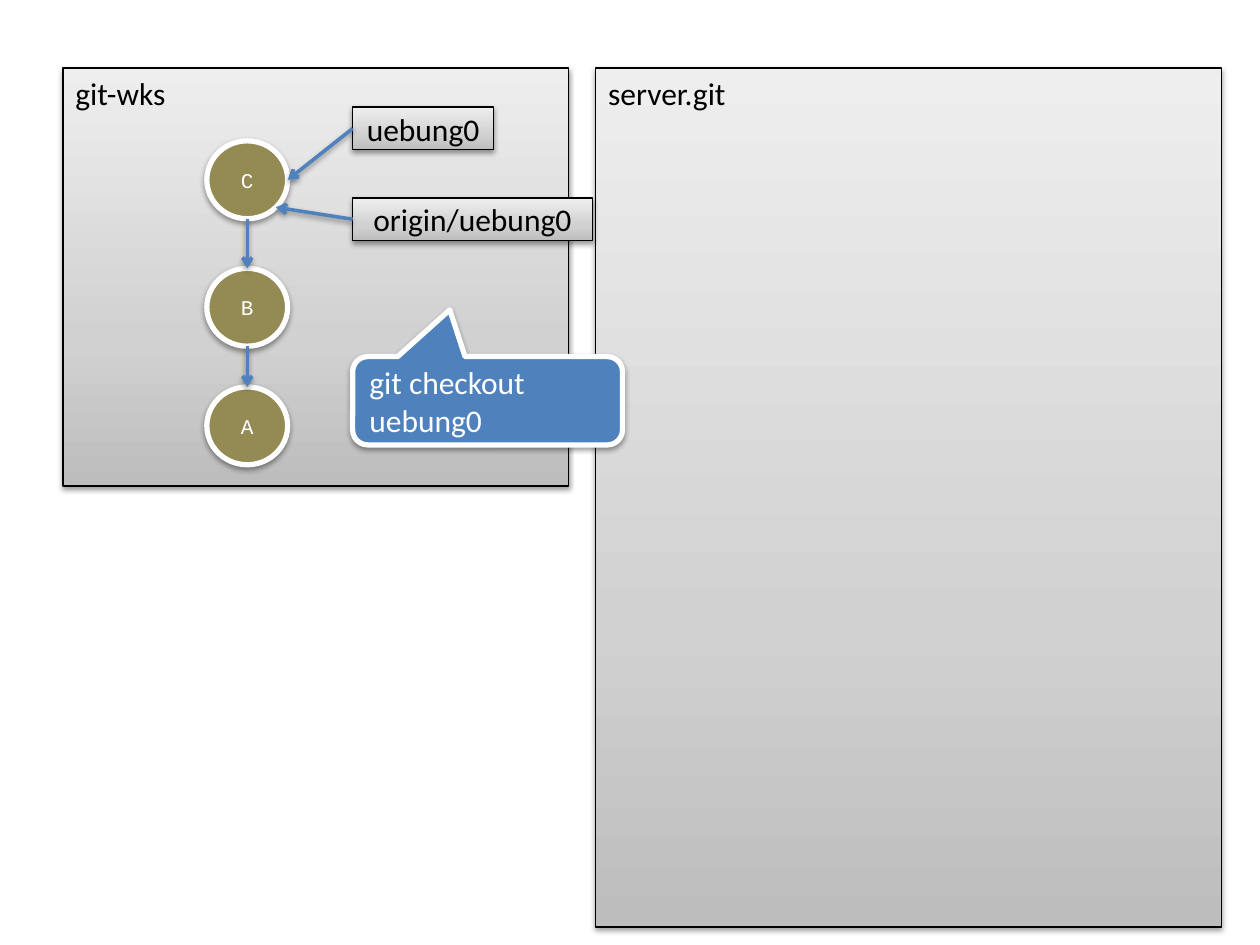
"""Build a slide showing a git workspace after checking out uebung0."""
from copy import deepcopy
from math import cos, radians, sin

from lxml.etree import SubElement
from pptx import Presentation
from pptx.dml.color import RGBColor
from pptx.enum.shapes import MSO_CONNECTOR as CONNECTOR, MSO_SHAPE as SHAPE
from pptx.enum.text import MSO_ANCHOR as ANCHOR, PP_ALIGN as ALIGN
from pptx.oxml.ns import qn
from pptx.util import Cm, Pt

COLORS = {"black": "000000", "white": "FFFFFF", "blue": "4F81BD", "olive": "948A54"}
GRADIENT = [(0, "BDBDBD"), (0.35, "D1D1D1"), (1, "EEEEEE")]


def add_shadow(shape):
    effects = SubElement(shape._element.spPr, qn("a:effectLst"))
    shadow = SubElement(effects, qn("a:outerShdw"), blurRad="40000", dist="20000",
                        dir="5400000", rotWithShape="0")
    color = SubElement(shadow, qn("a:srgbClr"), val=COLORS["black"])
    SubElement(color, qn("a:alpha"), val="38000")


def add_box(text, kind, left, top, width, height, *, fill=None, line="white", line_width=3,
            color="white", font="Calibri", size=18, align=ALIGN.CENTER,
            anchor=ANCHOR.MIDDLE, wrap=True):
    shape = slide.shapes.add_shape(kind, Cm(left), Cm(top), Cm(width), Cm(height))
    if fill:
        shape.fill.solid()
        shape.fill.fore_color.rgb = RGBColor.from_string(COLORS[fill])
    else:
        shape.fill.gradient()
        shape.fill.gradient_angle = 90
        stop_list = shape._element.spPr.find(".//" + qn("a:gsLst"))
        stop_list.append(deepcopy(stop_list[0]))
        for stop, (position, value) in zip(shape.fill.gradient_stops, GRADIENT):
            stop.position = position
            stop.color.rgb = RGBColor.from_string(value)
    shape.line.color.rgb = RGBColor.from_string(COLORS[line])
    shape.line.width = Pt(line_width)
    add_shadow(shape)
    frame = shape.text_frame
    frame.word_wrap = wrap
    frame.vertical_anchor = anchor
    paragraph = frame.paragraphs[0]
    paragraph.text = text
    paragraph.alignment = align
    paragraph.font.name = font
    paragraph.font.size = Pt(size)
    paragraph.font.color.rgb = RGBColor.from_string(COLORS[color])
    return shape


presentation = Presentation()
presentation.slide_width, presentation.slide_height = Cm(25.4), Cm(19.05)
slide = presentation.slides.add_slide(presentation.slide_layouts[6])

gray_box = {"line": "black", "line_width": 0.75, "color": "black"}
for name, left, width, height in [("git-wks", 1.27, 10.19, 8.43),
                                  ("server.git", 12.01, 12.62, 17.32)]:
    add_box(name, SHAPE.RECTANGLE, left, 1.37, width, height,
            align=ALIGN.LEFT, anchor=ANCHOR.TOP, **gray_box)

commits = {}
for name, top in [("A", 7.8), ("B", 5.41), ("C", 2.84)]:
    commits[name] = add_box(name, SHAPE.OVAL, 4.17, top, 1.63, 1.57,
                            fill="olive", font="Courier New", size=12)

arrows = []
for child, parent in [("C", "B"), ("B", "A")]:
    source, target = commits[child], commits[parent]
    center = source.left + source.width // 2
    arrow = slide.shapes.add_connector(CONNECTOR.STRAIGHT, center, source.top + source.height,
                                       center, target.top)
    arrow.end_connect(target, 0)
    arrows.append(arrow)

head = commits["C"]
for name, top, width, angle in [("uebung0", 2.16, 2.84, 0), ("origin/uebung0", 3.99, 4.83, 45)]:
    label = add_box(name, SHAPE.RECTANGLE, 7.11, top, width, 0.86, wrap=False, **gray_box)
    end_x = head.left + int(head.width / 2 * (1 + cos(radians(angle))))
    end_y = head.top + int(head.height / 2 * (1 + sin(radians(angle))))
    arrow = slide.shapes.add_connector(CONNECTOR.STRAIGHT, label.left,
                                       label.top + label.height // 2, end_x, end_y)
    arrow.begin_connect(label, 1)
    arrows.append(arrow)

for arrow in arrows:
    arrow.line.color.rgb = RGBColor.from_string(COLORS["blue"])
    arrow.line.width = Pt(2)
    SubElement(arrow.line._get_or_add_ln(), qn("a:tailEnd"), type="arrow")
    add_shadow(arrow)

callout = add_box("git checkout uebung0", SHAPE.ROUNDED_RECTANGULAR_CALLOUT,
                  7.11, 7.19, 5.44, 1.78, fill="blue", align=ALIGN.LEFT)
for index, value in enumerate([-0.14, -1.03, 0.17]):
    callout.adjustments[index] = value

presentation.save("out.pptx")
